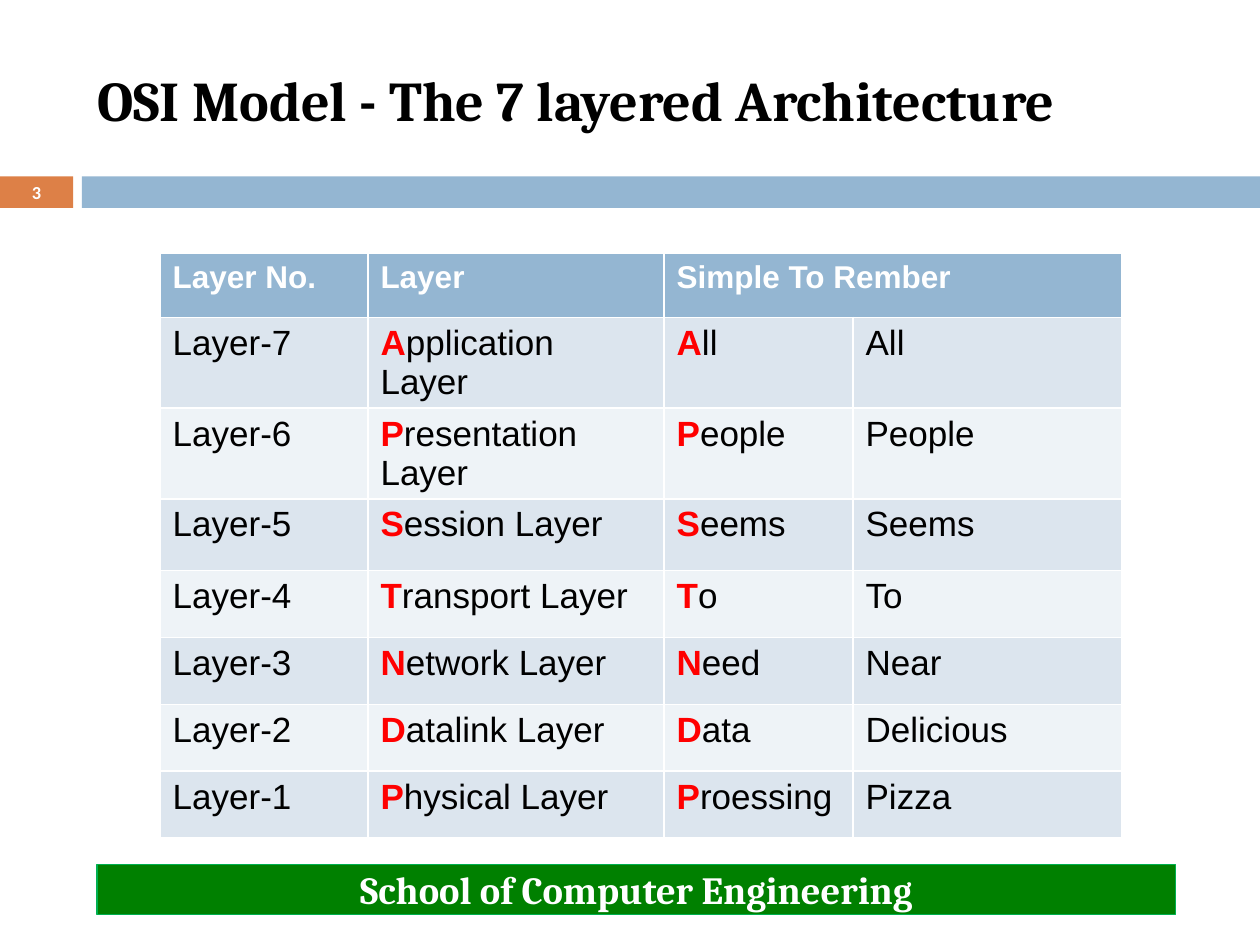
from pptx import Presentation
from pptx.dml.color import RGBColor
from pptx.enum.shapes import MSO_SHAPE
from pptx.enum.text import MSO_ANCHOR, PP_ALIGN
from pptx.util import Inches, Pt

RECTANGLE = MSO_SHAPE.RECTANGLE
MIDDLE = MSO_ANCHOR.MIDDLE
LEFT, CENTER = PP_ALIGN.LEFT, PP_ALIGN.CENTER

WHITE, BLACK, RED = "FFFFFF", "000000", "FF0000"
BLUE, ORANGE, GREEN, BRIGHT_GREEN = "94B6D2", "DD8047", "008000", "00B050"
BAND_FILLS = ["DCE5EE", "EEF3F7"]

TITLE = "OSI Model - The 7 layered Architecture"
PAGE_NUMBER = "3"
FOOTER = "School of Computer Engineering"
HEADERS = ["Layer No.", "Layer", "Simple To Rember"]
LAYERS = [
    ("Layer-7", "Application Layer", "All", "All"),
    ("Layer-6", "Presentation Layer", "People", "People"),
    ("Layer-5", "Session Layer", "Seems", "Seems"),
    ("Layer-4", "Transport Layer", "To", "To"),
    ("Layer-3", "Network Layer", "Need", "Near"),
    ("Layer-2", "Datalink Layer", "Data", "Delicious"),
    ("Layer-1", "Physical Layer", "Proessing", "Pizza"),
]
INITIAL_COLUMNS = (1, 2)
COLUMN_WIDTHS = [1.65, 2.35, 1.5, 2.13]
ROW_HEIGHTS = [0.51, 0.53, 0.53, 0.57, 0.53, 0.53, 0.53, 0.53]


def color(value):
    return RGBColor.from_string(value)


def set_font(font, name, size, value, bold=False):
    font.name = name
    font.size = Pt(size)
    font.bold = bold
    font.color.rgb = color(value)


def write(frame, text, alignment, *font_settings):
    frame.word_wrap = True
    frame.vertical_anchor = MIDDLE
    paragraph = frame.paragraphs[0]
    paragraph.text = text
    paragraph.alignment = alignment
    set_font(paragraph.font, *font_settings)


def add_bar(slide, left, top, width, height, fill, line=None):
    bar = slide.shapes.add_shape(
        RECTANGLE, Inches(left), Inches(top), Inches(width), Inches(height))
    bar.shadow.inherit = False
    bar.fill.solid()
    bar.fill.fore_color.rgb = color(fill)
    if line:
        bar.line.color.rgb = color(line)
        bar.line.width = Pt(0.75)
    else:
        bar.line.fill.background()
    return bar


def fill_cell(cell, fill, text, size, value, bold=False, red_initial=False):
    cell.fill.solid()
    cell.fill.fore_color.rgb = color(fill)
    paragraph = cell.text_frame.paragraphs[0]
    if red_initial:
        for part, part_color, part_bold in [(text[0], RED, True), (text[1:], value, bold)]:
            run = paragraph.add_run()
            run.text = part
            set_font(run.font, "Arial", size, part_color, part_bold)
    else:
        paragraph.text = text
        set_font(paragraph.font, "Arial", size, value, bold)


def add_layer_table(slide):
    table = slide.shapes.add_table(
        len(ROW_HEIGHTS), len(COLUMN_WIDTHS), Inches(1.27), Inches(2.01),
        Inches(sum(COLUMN_WIDTHS)), Inches(sum(ROW_HEIGHTS))).table
    for column, width in zip(table.columns, COLUMN_WIDTHS):
        column.width = Inches(width)
    for row, height in zip(table.rows, ROW_HEIGHTS):
        row.height = Inches(height)

    table.cell(0, 2).merge(table.cell(0, 3))
    for column_index, header in enumerate(HEADERS):
        fill_cell(table.cell(0, column_index), BLUE, header, 18, WHITE, True)
    for row_index, layer in enumerate(LAYERS):
        fill = BAND_FILLS[row_index % 2]
        for column_index, text in enumerate(layer):
            fill_cell(table.cell(row_index + 1, column_index), fill, text, 20, BLACK,
                      red_initial=column_index in INITIAL_COLUMNS)


def main():
    presentation = Presentation()
    presentation.slide_width = Inches(10)
    presentation.slide_height = Inches(7.5)
    slide = presentation.slides.add_slide(presentation.slide_layouts[5])

    title = slide.shapes.title
    title.left, title.top = Inches(0.67), Inches(0.25)
    title.width, title.height = Inches(8.92), Inches(1.08)
    write(title.text_frame, TITLE, LEFT, "Cambria", 32, BLACK, True)

    add_bar(slide, 0.65, 1.4, 9.35, 0.25, BLUE)
    number_bar = add_bar(slide, 0, 1.4, 0.58, 0.25, ORANGE)
    write(number_bar.text_frame, PAGE_NUMBER, CENTER, "Calibri", 10.5, WHITE, True)

    footer = add_bar(slide, 0.77, 6.86, 8.56, 0.4, GREEN, BRIGHT_GREEN)
    write(footer.text_frame, FOOTER, CENTER, "Cambria", 22, WHITE, True)

    add_layer_table(slide)
    presentation.save("out.pptx")


if __name__ == "__main__":
    main()
